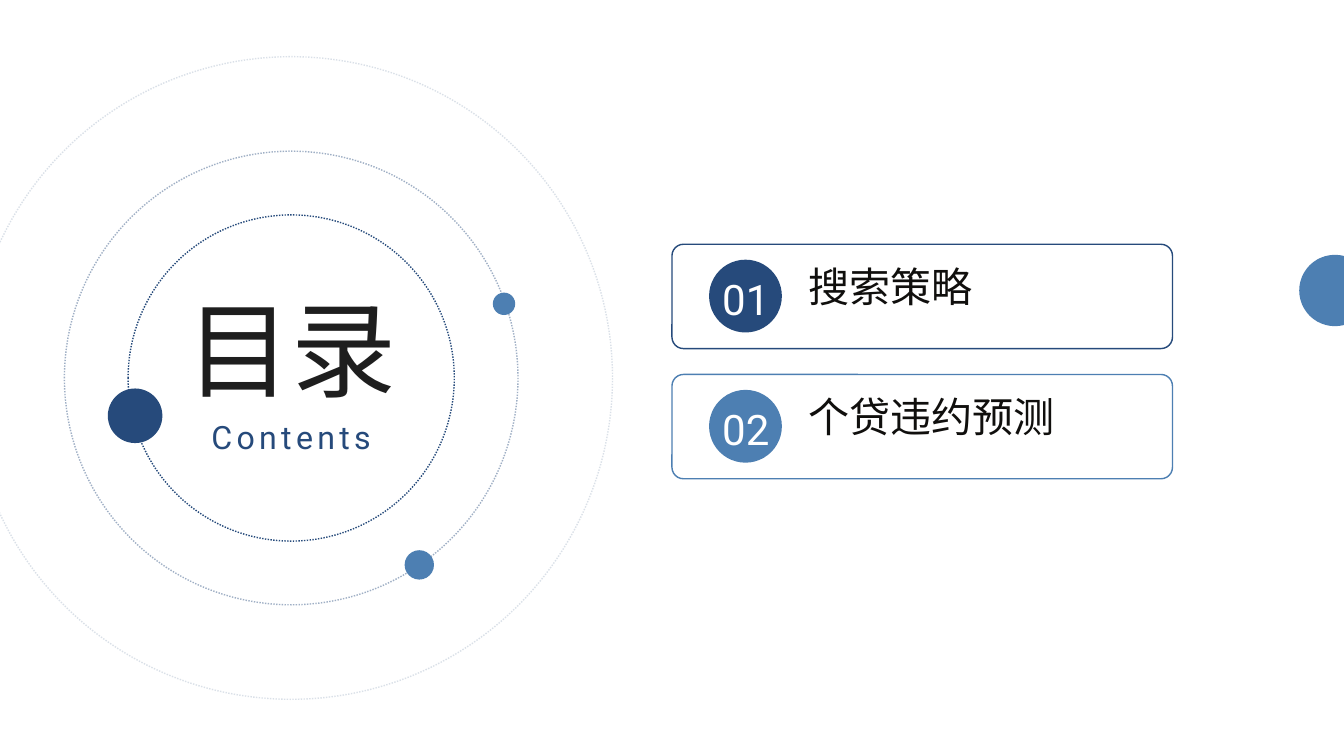
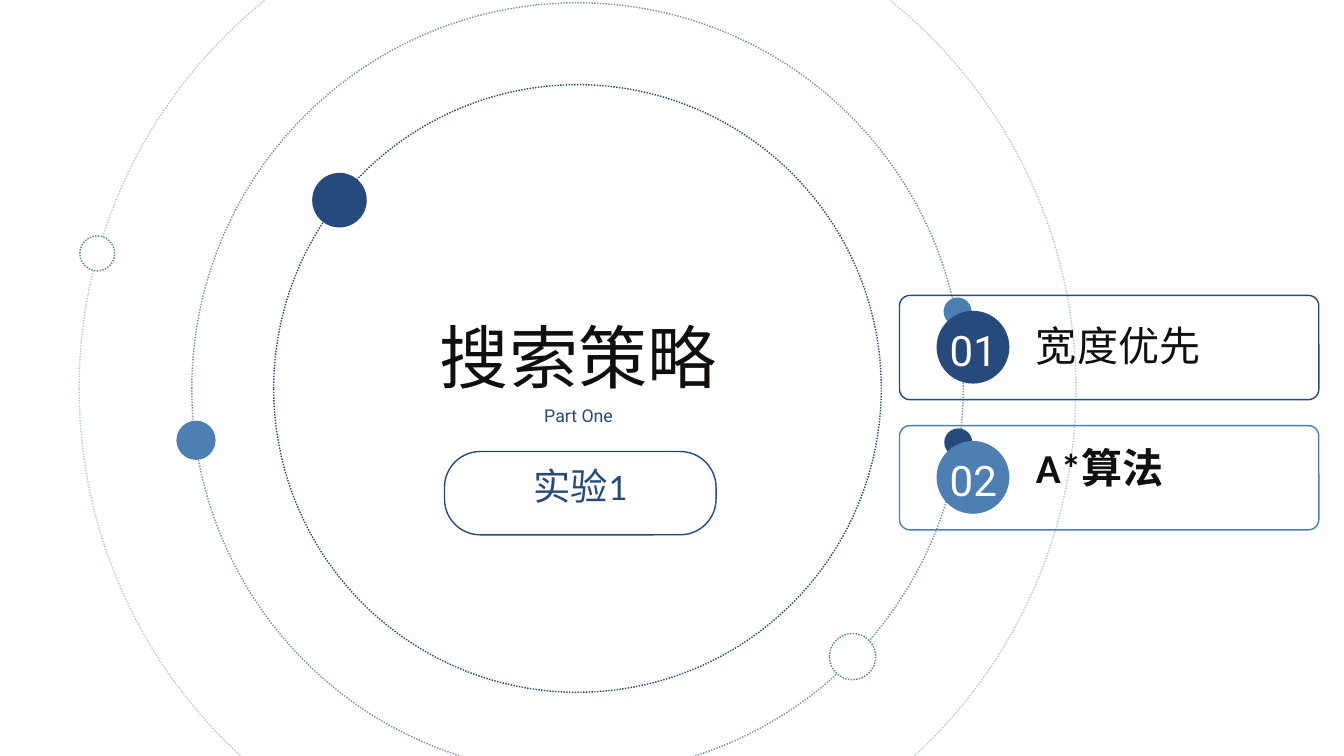
import pptx
import pptx.dml.color
import pptx.enum.dml
import pptx.enum.shapes
import pptx.enum.text
import pptx.oxml.ns
import pptx.util
from lxml import etree

SCALE = 9525
SLIDE_WIDTH, SLIDE_HEIGHT = 1920, 1080
COLORS = {
    "navy": "264A7B",
    "blue": "4D7FB2",
    "white": "FFFFFF",
    "ink": "100F0D",
    "heading": "1E1E1E",
}
CARD_COLORS = ("navy", "blue")
CARD_HEIGHT = 149
CARD_PITCH = 186
OVAL = pptx.enum.shapes.MSO_SHAPE.OVAL
ROUNDED = pptx.enum.shapes.MSO_SHAPE.ROUNDED_RECTANGLE


def px(length):
    return pptx.util.Emu(length * SCALE)


def rgb(name):
    return pptx.dml.color.RGBColor.from_string(COLORS[name])


def add_shape(slide, kind, left, top, width, height, fill=None, line=None,
              dotted=False, opacity=100, corner=None):
    shape = slide.shapes.add_shape(kind, px(left), px(top), px(width), px(height))
    shape.shadow.inherit = False
    if corner is not None:
        shape.adjustments[0] = corner
    if fill:
        shape.fill.solid()
        shape.fill.fore_color.rgb = rgb(fill)
    else:
        shape.fill.background()
    if not line:
        shape.line.fill.background()
        return shape
    shape.line.color.rgb = rgb(line)
    shape.line.width = pptx.util.Pt(1.5)
    if dotted:
        shape.line.dash_style = pptx.enum.dml.MSO_LINE.ROUND_DOT
    if opacity < 100:
        color = shape.line._ln.find(".//" + pptx.oxml.ns.qn("a:srgbClr"))
        etree.SubElement(color, pptx.oxml.ns.qn("a:alpha"), val=str(opacity * 1000))
    return shape


def add_circle(slide, center_x, center_y, radius, **style):
    return add_shape(slide, OVAL, center_x - radius, center_y - radius,
                     2 * radius, 2 * radius, **style)


def add_text(slide, text, left, top, width, height, size, line_spacing,
             font="Calibri", color="ink", bold=False, centered=True, tracking=0):
    box = slide.shapes.add_textbox(px(left), px(top), px(width), px(height))
    frame = box.text_frame
    frame.word_wrap = True
    frame.auto_size = pptx.enum.text.MSO_AUTO_SIZE.SHAPE_TO_FIT_TEXT
    frame.margin_left = frame.margin_right = frame.margin_top = frame.margin_bottom = 0
    paragraph = frame.paragraphs[0]
    align = pptx.enum.text.PP_ALIGN
    paragraph.alignment = align.CENTER if centered else align.LEFT
    paragraph.line_spacing = pptx.util.Pt(line_spacing)
    run = paragraph.add_run()
    run.text = text
    run.font.name = font
    run.font.size = pptx.util.Pt(size)
    run.font.bold = bold
    run.font.color.rgb = rgb(color)
    if tracking:
        run._r.get_or_add_rPr().set("spc", str(tracking))
    return box


def add_orbits(slide, center_x, center_y, rings, dots, hollow_dots=()):
    for radius, opacity in rings:
        add_circle(slide, center_x, center_y, radius, line="navy", dotted=True, opacity=opacity)
    for offset_x, offset_y, radius, color in dots:
        add_circle(slide, center_x + offset_x, center_y + offset_y, radius, fill=color)
    for offset_x, offset_y, radius in hollow_dots:
        add_circle(slide, center_x + offset_x, center_y + offset_y, radius,
                   fill="white", line="blue", dotted=True)


def add_card(slide, left, top, width, number, label, color, corner, bold=False,
             line_spacing=52.8):
    add_shape(slide, ROUNDED, left, top, width, CARD_HEIGHT, line=color, corner=corner)
    add_text(slide, label, left + 195, top + 24, 520, 71, 44, line_spacing,
             bold=bold, centered=False)
    add_circle(slide, left + 105, top + 74, 52, fill=color)
    add_text(slide, f"{number:02d}", left + 49, top + 42, 113, 73, 45, 54,
             font="Roboto", color="white")


def add_cards(slide, left, top, width, corner, cards):
    for index, (label, style) in enumerate(cards):
        add_card(slide, left, top + index * CARD_PITCH, width, index + 1, label,
                 CARD_COLORS[index], corner, **style)


def add_pill(slide, left, top, width, height, text):
    add_shape(slide, ROUNDED, left, top, width, height, line="navy", corner=0.43)
    add_text(slide, text, left + 49, top + 38, width - 98, 42, 40, 31.7, color="navy")


def add_contents_slide(presentation):
    slide = presentation.slides.add_slide(presentation.slide_layouts[6])
    center_x, center_y = 416, 540
    add_orbits(slide, center_x, center_y,
               rings=[(459, 17), (324, 44), (233, 100)],
               dots=[(-223, 54, 39, "navy"), (183, 267, 21, "blue"), (304, -106, 16, "blue")])
    add_text(slide, "Contents", center_x - 203, center_y + 56, 406, 55, 34.4, 41.2,
             font="Roboto", color="navy", tracking=460)
    add_text(slide, "目录", center_x - 180, center_y - 134, 360, 180, 112.5, 135,
             color="heading")
    add_cards(slide, 960, 349, 715, 0.11, [("搜索策略", {}), ("个贷违约预测", {})])
    add_circle(slide, 1907, 415, 51, fill="blue")


def add_section_slide(presentation):
    slide = presentation.slides.add_slide(presentation.slide_layouts[6])
    center_x, center_y = 825, 555
    add_orbits(slide, center_x, center_y,
               rings=[(712, 30), (551, 60), (434, 100)],
               dots=[(-340, -269, 39, "navy"), (-545, 74, 28, "blue"),
                     (544, 77, 20, "navy"), (543, -110, 20, "blue")],
               hollow_dots=[(393, 383, 33), (-686, -193, 25)])
    add_text(slide, "搜索策略", center_x - 400, center_y - 117, 802, 132, 74, 97.7)
    add_text(slide, "Part One", center_x - 312, center_y + 23, 627, 31, 19, 22.8,
             font="Roboto", color="navy")
    add_pill(slide, center_x - 190, center_y + 90, 388, 119, "实验1")
    add_cards(slide, 1285, 422, 599, 0.1,
              [("宽度优先", {"line_spacing": 61.2}), ("A*算法", {"bold": True})])


def main():
    presentation = pptx.Presentation()
    presentation.slide_width = px(SLIDE_WIDTH)
    presentation.slide_height = px(SLIDE_HEIGHT)
    add_contents_slide(presentation)
    add_section_slide(presentation)
    presentation.save("out.pptx")


if __name__ == "__main__":
    main()
